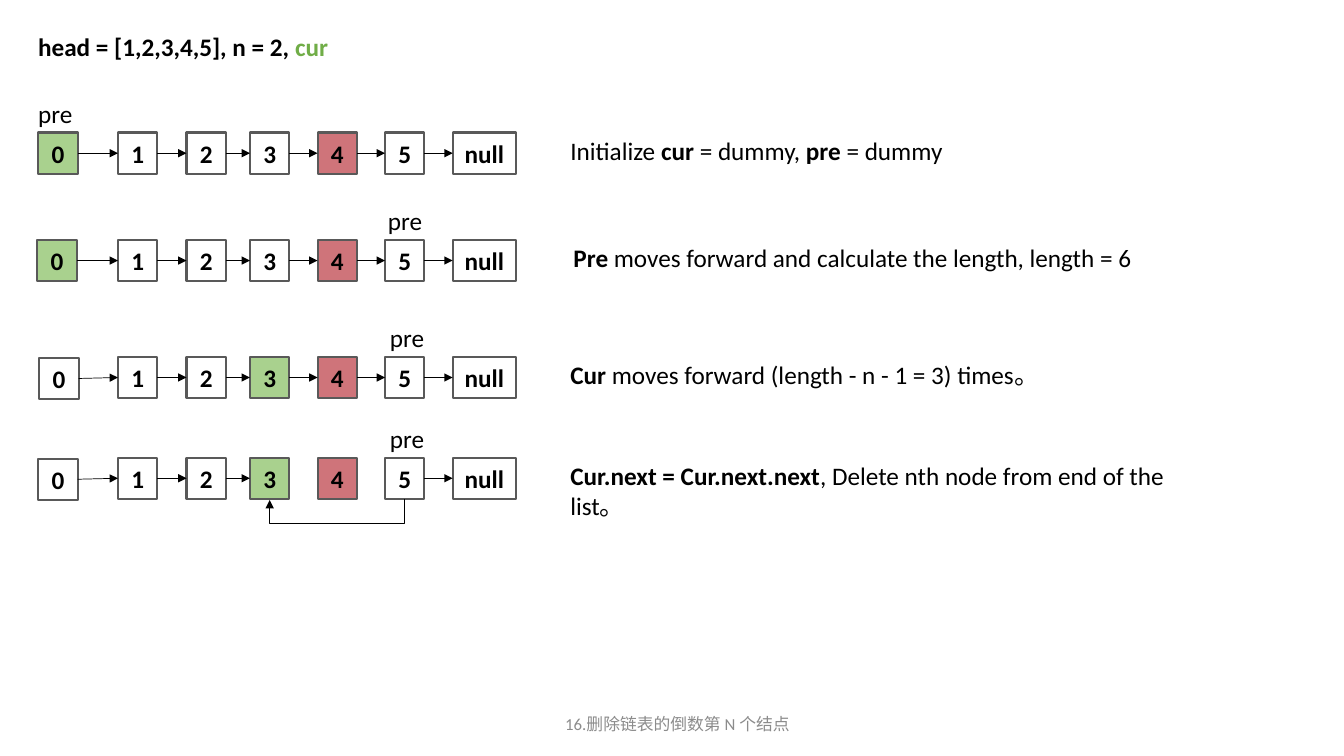
import dataclasses
import itertools

import pptx
import pptx.dml.color
import pptx.enum.shapes
import pptx.enum.text
import pptx.oxml
import pptx.oxml.ns
import pptx.util

ALIGN = pptx.enum.text.PP_ALIGN
FIT = pptx.enum.text.MSO_AUTO_SIZE
LINK = pptx.enum.shapes.MSO_CONNECTOR
NS = pptx.oxml.ns.nsdecls("a")


@dataclasses.dataclass(frozen=True)
class Theme:
    """Holds the colours, font and sizes of the slide."""
    ink: str = "000000"
    paper: str = "FFFFFF"
    border: str = "595959"
    current: str = "A9D18E"
    target: str = "CF747A"
    accent: str = "70AD47"
    muted: str = "8C8C8C"
    font: str = "Calibri"
    body: int = 18
    small: int = 12
    edge: float = 1.5
    thin: float = 0.5


THEME = Theme()
WIDTH, HEIGHT = pptx.util.Inches(13.33), pptx.util.Inches(7.5)
COL, ROW = WIDTH / 100, HEIGHT / 100
LINE = 5.33
NODE, NULL, TALL = 2.93, 4.73, 5.47
LEFTS = (0, 5.93, 11.03, 15.75, 20.78, 25.8, 30.83)
NAMES = ("0", "1", "2", "3", "4", "5", "null")
TARGET = 4


def color(code):
    """Turns a hex code into a colour."""
    return pptx.dml.color.RGBColor.from_string(code)


def place(box):
    """Turns a box of grid columns and rows into slide lengths."""
    left, top, wide, tall = box
    return [round(part) for part in (left * COL, top * ROW, wide * COL, tall * ROW)]


def write(frame, runs, size=THEME.body, align=None):
    """Writes runs of text, weight and colour into one paragraph."""
    para = frame.paragraphs[0]
    para.alignment = align
    for text, bold, code in runs:
        run = para.add_run()
        run.text = text
        run.font.name = THEME.font
        run.font.size = pptx.util.Pt(size)
        run.font.bold = bold
        run.font.color.rgb = color(code)


def label(slide, box, runs, wrap=False):
    """Adds a text box that grows with its text."""
    frame = slide.shapes.add_textbox(*place(box)).text_frame
    frame.word_wrap = wrap
    frame.auto_size = FIT.SHAPE_TO_FIT_TEXT
    write(frame, runs)


def node(slide, box, name, fill):
    """Adds one list node."""
    shape = slide.shapes.add_shape(pptx.enum.shapes.MSO_SHAPE.RECTANGLE, *place(box))
    shape.shadow.inherit = False
    shape.fill.solid()
    shape.fill.fore_color.rgb = color(fill)
    shape.line.color.rgb = color(THEME.border)
    shape.line.width = pptx.util.Pt(THEME.edge)
    shape.text_frame.vertical_anchor = pptx.enum.text.MSO_ANCHOR.MIDDLE
    write(shape.text_frame, [(name, True, THEME.ink)], align=ALIGN.CENTER)
    return shape


def arrow(slide, kind, start, end, sides):
    """Joins two nodes with an arrow at the given sides."""
    link = slide.shapes.add_connector(kind, 0, 0, 0, 0)
    link.begin_connect(start, sides[0])
    link.end_connect(end, sides[1])
    link.line.color.rgb = color(THEME.ink)
    link.line.width = pptx.util.Pt(THEME.thin)
    link.line._get_or_add_ln().append(
        pptx.oxml.parse_xml(f'<a:tailEnd {NS} type="triangle"/>'))
    link._element.spPr.append(pptx.oxml.parse_xml(f"<a:effectLst {NS}/>"))
    return link


def bypass(slide, start, end):
    """Draws the bent arrow below the nodes, past the deleted one."""
    link = arrow(slide, LINK.ELBOW, start, end, (2, 2))
    span = end.left - start.left
    thick = pptx.util.Inches(0.01)
    drop = pptx.util.Inches(0.25)
    link.left = start.left + (start.width + span - thick) // 2
    link.top = start.top + start.height + (thick - span) // 2
    link.width, link.height = thick, span
    form = link._element.spPr
    turn = form.find(pptx.oxml.ns.qn("a:xfrm"))
    turn.set("rot", "16200000")
    turn.set("flipH", "1")
    shape = form.find(pptx.oxml.ns.qn("a:prstGeom"))
    for old in list(shape):
        shape.remove(old)
    ratio = round(drop / thick * 100000)
    shape.append(pptx.oxml.parse_xml(
        f'<a:avLst {NS}><a:gd name="adj1" fmla="val {ratio}"/></a:avLst>'))


def chain(slide, box, step):
    """Draws one step: the list, its pre label and its note."""
    left, top, wide, tall = box
    nodes = []
    for spot, (shift, name) in enumerate(zip(LEFTS, NAMES)):
        nudge, drop = step["first"] if spot == 0 else (0, 0)
        fill = {step["cur"]: THEME.current, TARGET: THEME.target}.get(spot, THEME.paper)
        size = NULL if name == "null" else NODE
        area = (left + shift + nudge, top + drop, size, tall)
        nodes.append(node(slide, area, name, fill))
    for spot, (start, end) in enumerate(itertools.pairwise(nodes)):
        if not (step["cut"] and TARGET in (spot, spot + 1)):
            arrow(slide, LINK.STRAIGHT, start, end, (3, 1))
    if step["cut"]:
        bypass(slide, nodes[TARGET - 1], nodes[TARGET + 1])
    label(slide, (left + step["pre"], top - 5.2, 4.13, LINE),
          [("pre", False, THEME.ink)])
    shift, size = step["note"]
    runs = [(text, bold, THEME.ink) for text, bold in step["runs"]]
    label(slide, (left + shift, top - 0.27, size, LINE), runs, step["cut"])


def title(slide, box):
    """Writes the input of the task."""
    label(slide, box, [("head = [1,2,3,4,5], n = 2, ", True, THEME.ink),
                       ("cur", True, THEME.accent)], True)


def footer(slide, box):
    """Writes the centred footer."""
    frame = slide.shapes.add_textbox(*place(box)).text_frame
    frame.word_wrap = True
    frame.vertical_anchor = pptx.enum.text.MSO_ANCHOR.MIDDLE
    write(frame, [("16.删除链表的倒数第 N 个结点", False, THEME.muted)],
          THEME.small, ALIGN.CENTER)


STEPS = (
    dict(top=17.53, cur=0, first=(0, 0), pre=-0.75, cut=False, note=(38.85, 29.48),
         runs=[("Initialize ", False), ("cur", True), (" = dummy, ", False),
               ("pre", True), (" = dummy", False)]),
    dict(top=31.73, cur=0, first=(-0.07, 0), pre=25.28, cut=False, note=(39.08, 43.5),
         runs=[("Pre", True),
               (" moves forward and calculate the length, length = 6", False)]),
    dict(top=47.2, cur=3, first=(0.07, 0.13), pre=25.43, cut=False, note=(38.85, 36.83),
         runs=[("Cur", True), (" moves forward (length - n - 1 = 3) times。", False)]),
    dict(top=60.53, cur=3, first=(0, 0.13), pre=25.43, cut=True, note=(38.85, 47.25),
         runs=[("Cur.next = Cur.next.next", True),
               (", Delete nth node from end of the list。", False)]),
)


def main():
    """Builds the slide and saves it."""
    deck = pptx.Presentation()
    deck.slide_width, deck.slide_height = WIDTH, HEIGHT
    slide = deck.slides.add_slide(deck.slide_layouts[6])
    title(slide, (2.1, 3.47, 33.9, LINE))
    for step in STEPS:
        chain(slide, (2.85, step["top"], LEFTS[-1] + NULL, TALL), step)
    footer(slide, (33.53, 93.07, 33.75, LINE))
    deck.save("out.pptx")


if __name__ == "__main__":
    main()
